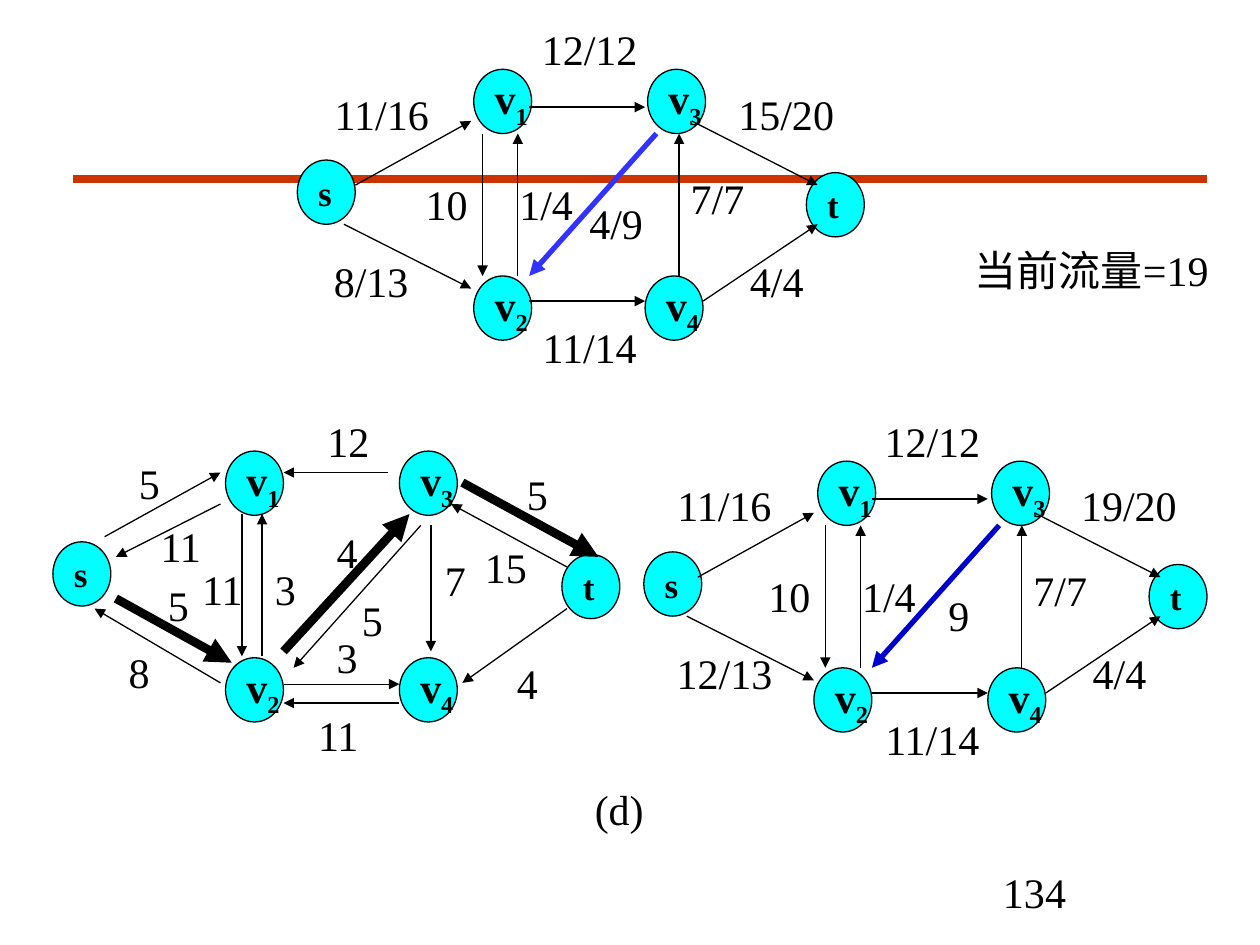
from lxml import etree
from pptx import Presentation
from pptx.dml.color import RGBColor
from pptx.enum.shapes import MSO_CONNECTOR, MSO_SHAPE
from pptx.enum.text import MSO_ANCHOR, MSO_AUTO_SIZE, PP_ALIGN
from pptx.oxml.ns import qn
from pptx.util import Inches, Pt

STRAIGHT, OVAL = MSO_CONNECTOR.STRAIGHT, MSO_SHAPE.OVAL
MIDDLE, GROW = MSO_ANCHOR.MIDDLE, MSO_AUTO_SIZE.SHAPE_TO_FIT_TEXT
LEFT, CENTER = PP_ALIGN.LEFT, PP_ALIGN.CENTER

FONT = "Times New Roman"
COLORS = {
    "ink": "000000",
    "node": "00FFFF",
    "rule": "CC3300",
    "top_path": "3333FF",
    "right_path": "0000CC",
}
LABEL_WIDTHS = {1: 0.37, 2: 0.53, 3: 0.63, 4: 0.79, 5: 0.96}
NODE_W, NODE_H = 0.46, 0.51

FLOW_EDGES = [
    (2.82, 1.47, 3.74, 0.96),
    (4.2, 0.85, 5.12, 0.85),
    (5.49, 0.96, 6.49, 1.47),
    (2.73, 1.78, 3.74, 2.29),
    (4.2, 2.39, 5.12, 2.39),
    (5.58, 2.39, 6.49, 1.78),
    (3.83, 1.06, 3.83, 2.19),
    (4.11, 2.19, 4.11, 1.06),
    (5.39, 2.19, 5.39, 1.06),
]
FLOW_PATH = (5.21, 1.06, 4.2, 2.19)
FLOW_LABELS = [
    ("11/16", 2.55, 0.65),
    ("12/12", 4.2, 0.14),
    ("10", 3.28, 1.37),
    ("1/4", 4.02, 1.37),
    ("4/4", 5.85, 1.98),
    ("7/7", 5.38, 1.32),
    ("11/14", 4.2, 2.5),
]

RESIDUAL_NODES = {
    "s": (0.42, 4.3), "v2": (1.79, 5.22), "v4": (3.17, 5.22),
    "t": (4.46, 4.4), "v3": (3.17, 3.58), "v1": (1.79, 3.58),
}
RESIDUAL_EDGES = [
    (0.83, 4.26, 1.75, 3.75),
    (2.25, 5.43, 3.17, 5.43),
    (1.92, 4.08, 1.92, 5.21),
    (2.08, 5.21, 2.08, 4.08),
    (3.34, 4.17, 2.33, 5.3),
    (1.75, 4, 0.92, 4.42),
    (3.08, 3.75, 2.25, 3.75),
    (3.17, 5.58, 2.25, 5.58),
    (3.42, 4.17, 3.42, 5.17),
    (4.5, 4.83, 3.67, 5.42),
    (4.5, 4.5, 3.58, 4),
    (1.75, 5.42, 0.75, 4.83),
]
AUGMENTING_PATH = [
    (0.92, 4.75, 1.84, 5.26),
    (2.25, 5.17, 3.25, 4.08),
    (3.67, 3.83, 4.75, 4.42),
]
RESIDUAL_LABELS = [
    ("5", 2.77, 4.67), ("5", 1, 3.58), ("8", 0.92, 5.08),
    ("11", 1.5, 4.42), ("3", 2.08, 4.42), ("4", 4, 5.17),
    ("7", 3.43, 4.35), ("11", 2.42, 5.58), ("11", 1.17, 4.08),
    ("12", 2.5, 3.25), ("4", 2.57, 4.13), ("3", 2.57, 4.96),
    ("5", 4.08, 3.67), ("15", 3.75, 4.25), ("5", 1.23, 4.55),
]


def write_text(tf, text, size=24, bold=False, sub="", align=CENTER):
    """Fill a text frame with one paragraph and an optional subscript."""
    p = tf.paragraphs[0]
    p.alignment = align
    for part in filter(None, (text, sub)):
        r = p.add_run()
        r.text = part
        r.font.name = FONT
        r.font.size = Pt(size)
        r.font.bold = bold
        r.font.color.rgb = RGBColor.from_string(COLORS["ink"])
    if sub:
        r.font._element.set("baseline", "-25000")


class Board:
    """Draws flow network elements on the current slide."""

    def __init__(self, slide):
        self.slide = slide
        self.shapes = slide.shapes

    def start_group(self):
        self.shapes = self.slide.shapes.add_group_shape().shapes

    def end_group(self):
        self.shapes = self.slide.shapes

    def line(self, x1, y1, x2, y2, color="ink", width=0.75, arrow=True):
        sp = self.shapes.add_connector(
            STRAIGHT, Inches(x1), Inches(y1), Inches(x2), Inches(y2))
        sp.line.color.rgb = RGBColor.from_string(COLORS[color])
        sp.line.width = Pt(width)
        if arrow:
            etree.SubElement(sp.line._get_or_add_ln(), qn("a:tailEnd"), type="triangle")
        etree.SubElement(sp._element.spPr, qn("a:effectLst"))

    def node(self, name, x, y):
        sp = self.shapes.add_shape(
            OVAL, Inches(x), Inches(y), Inches(NODE_W), Inches(NODE_H))
        sp.shadow.inherit = False
        sp.fill.solid()
        sp.fill.fore_color.rgb = RGBColor.from_string(COLORS["node"])
        sp.line.color.rgb = RGBColor.from_string(COLORS["ink"])
        sp.line.width = Pt(0.75)
        tf = sp.text_frame
        tf.word_wrap = False
        tf.vertical_anchor = MIDDLE
        write_text(tf, name[0], size=24 if name[1:] else 20, bold=True,
                   sub=name[1:], align=LEFT)

    def label(self, text, x, y, width=None):
        w = width or LABEL_WIDTHS[len(text)]
        sp = self.shapes.add_textbox(Inches(x), Inches(y), Inches(w), Inches(0.5))
        tf = sp.text_frame
        tf.word_wrap = width is not None
        tf.auto_size = GROW
        write_text(tf, text)

    def flow_network(self, nodes, labels, path_label, path_color, dx=0, dy=0):
        self.start_group()
        self.label(path_label, 4.57 + dx, 1.52 + dy, width=0.64)
        for name, (x, y) in nodes.items():
            self.node(name, x, y)
        for x1, y1, x2, y2 in FLOW_EDGES:
            self.line(x1 + dx, y1 + dy, x2 + dx, y2 + dy)
        x1, y1, x2, y2 = FLOW_PATH
        self.line(x1 + dx, y1 + dy, x2 + dx, y2 + dy, color=path_color, width=3)
        for text, x, y in FLOW_LABELS + labels:
            self.label(text, x + dx, y + dy)
        self.end_group()

    def residual_network(self):
        self.start_group()
        for name, (x, y) in RESIDUAL_NODES.items():
            self.node(name, x, y)
        for edge in RESIDUAL_EDGES:
            self.line(*edge)
        for edge in AUGMENTING_PATH:
            self.line(*edge, width=5)
        for label in RESIDUAL_LABELS:
            self.label(*label)
        self.end_group()


def main():
    prs = Presentation()
    prs.slide_width, prs.slide_height = Inches(10), Inches(7.5)
    board = Board(prs.slides.add_slide(prs.slide_layouts[6]))
    board.line(0.58, 1.42, 9.58, 1.42, color="rule", width=4.5, arrow=False)
    board.label("134", 7.17, 6.83, width=2.08)
    board.residual_network()
    board.flow_network(
        {"s": (5.11, 4.38), "v2": (6.46, 5.3), "v4": (7.84, 5.3),
         "t": (9.12, 4.48), "v3": (7.87, 3.66), "v1": (6.49, 3.66)},
        [("12/13", 2.55, 1.98), ("19/20", 5.76, 0.65)],
        "9", "right_path", dx=2.72, dy=3.11)
    board.label("(d)", 4.6, 6.17)
    board.flow_network(
        {"s": (2.36, 1.27), "v2": (3.76, 2.19), "v4": (5.12, 2.19),
         "t": (6.4, 1.37), "v3": (5.14, 0.55), "v1": (3.76, 0.55)},
        [("8/13", 2.55, 1.98), ("15/20", 5.76, 0.65)],
        "4/9", "top_path")
    board.label("当前流量=19", 7.52, 1.89, width=2.29)
    prs.save("out.pptx")


if __name__ == "__main__":
    main()
